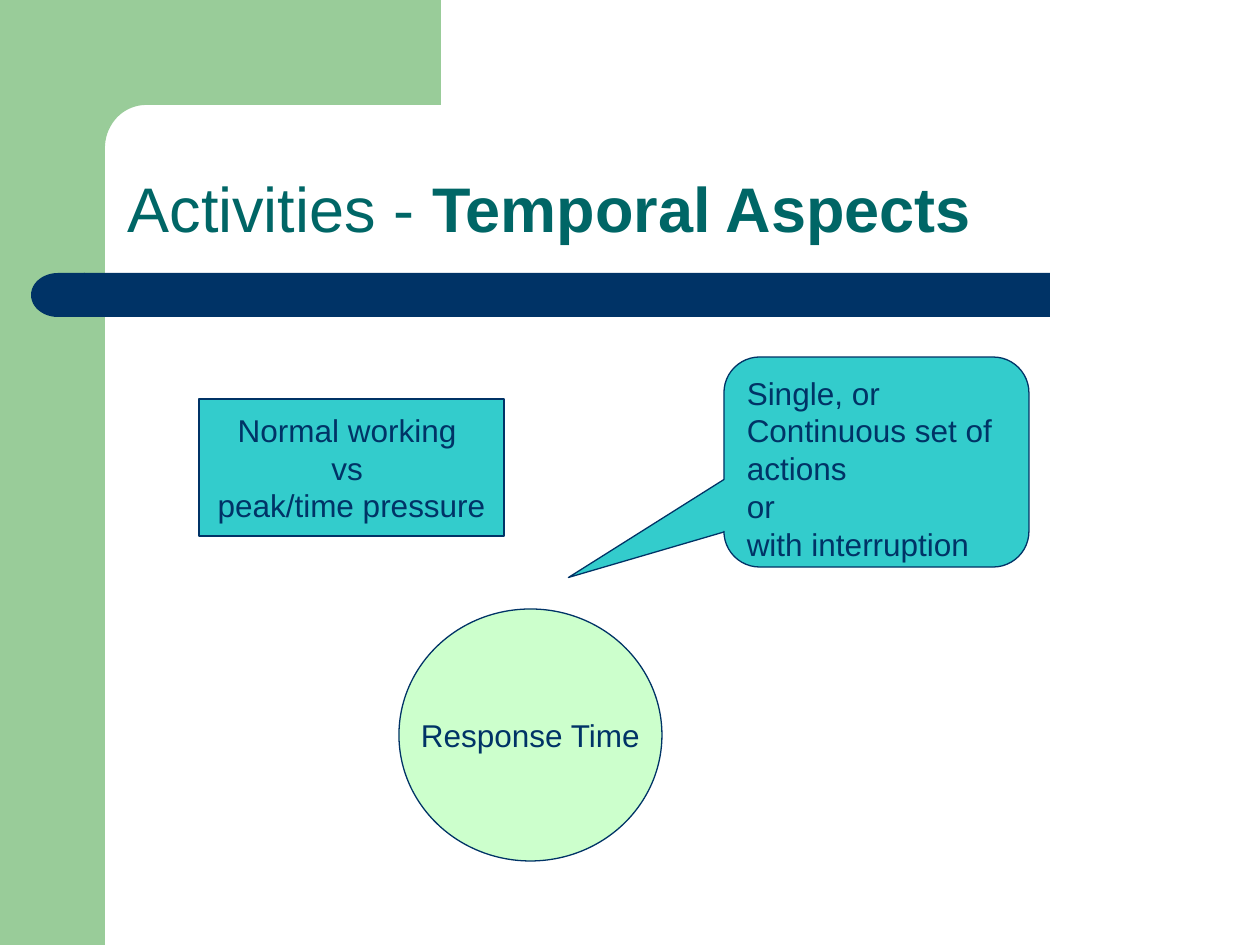
"""Build the slide on temporal aspects of activities."""
import math
from dataclasses import dataclass

from pptx import Presentation
from pptx.dml.color import RGBColor
from pptx.enum.shapes import MSO_SHAPE
from pptx.enum.text import MSO_ANCHOR, MSO_AUTO_SIZE, PP_ALIGN
from pptx.shapes.autoshape import Shape
from pptx.slide import Slide
from pptx.text.text import TextFrame, _Paragraph
from pptx.util import Emu, Pt

RECTANGLE = MSO_SHAPE.RECTANGLE
DELAY = MSO_SHAPE.FLOWCHART_DELAY
PROCESS = MSO_SHAPE.FLOWCHART_PROCESS
CONNECTOR = MSO_SHAPE.FLOWCHART_CONNECTOR
CALLOUT = MSO_SHAPE.ROUNDED_RECTANGULAR_CALLOUT
TOP, MIDDLE, BOTTOM = MSO_ANCHOR.TOP, MSO_ANCHOR.MIDDLE, MSO_ANCHOR.BOTTOM
LEFT, CENTER = PP_ALIGN.LEFT, PP_ALIGN.CENTER
NO_AUTOFIT = MSO_AUTO_SIZE.NONE
EMU_PER_PX = 914400 / 126


@dataclass(frozen=True)
class Theme:
    """Colours, font and type sizes of the slide."""

    font: str = "Arial"
    title_size: int = 36
    body_size: int = 18
    outline: float = 0.75
    green: str = "99CC99"
    navy: str = "003366"
    teal: str = "006666"
    turquoise: str = "33CCCC"
    mint: str = "CCFFCC"


THEME = Theme()


@dataclass(frozen=True)
class Box:
    """A rectangle in px."""

    left: int
    top: int
    width: int
    height: int

    def emu(self) -> tuple[Emu, ...]:
        """Return the four lengths in EMU."""
        return tuple(px(value) for value in (self.left, self.top, self.width, self.height))


@dataclass(frozen=True)
class Note:
    """A filled shape holding lines of text."""

    kind: MSO_SHAPE
    box: Box
    fill: str
    lines: tuple[str, ...]
    align: PP_ALIGN = CENTER
    anchor: MSO_ANCHOR = MIDDLE
    wrap: bool = False
    adjustments: tuple[float, ...] = ()


NOTES = (
    Note(PROCESS, Box(199, 399, 305, 137), THEME.turquoise,
         ("Normal working ", "vs ", "peak/time pressure")),
    Note(CONNECTOR, Box(399, 609, 263, 252), THEME.mint, ("Response Time",)),
    Note(CALLOUT, Box(724, 357, 305, 210), THEME.turquoise,
         ("Single, or", "Continuous set of actions", "or", "with interruption"),
         LEFT, TOP, True, (-1.01, 0.55, 0.17)),
)


def px(value: float) -> Emu:
    """Convert px to EMU."""
    return Emu(round(value * EMU_PER_PX))


def paint(shape: Shape, fill: str) -> None:
    """Give a shape a flat fill without outline or shadow."""
    shape.shadow.inherit = False
    shape.fill.solid()
    shape.fill.fore_color.rgb = RGBColor.from_string(fill)
    shape.line.fill.background()


def add_run(paragraph: _Paragraph, text: str, size: int, color: str, bold: bool = False) -> None:
    """Append one formatted run."""
    run = paragraph.add_run()
    run.text = text
    run.font.name = THEME.font
    run.font.size = Pt(size)
    run.font.bold = bold
    run.font.color.rgb = RGBColor.from_string(color)


def set_frame(frame: TextFrame, anchor: MSO_ANCHOR, wrap: bool) -> None:
    """Set how a text frame holds its text."""
    frame.auto_size = NO_AUTOFIT
    frame.vertical_anchor = anchor
    frame.word_wrap = wrap


def add_block(slide: Slide, kind: MSO_SHAPE, box: Box, fill: str) -> Shape:
    """Draw a flat preset shape."""
    shape = slide.shapes.add_shape(kind, *box.emu())
    paint(shape, fill)
    return shape


def add_corner(slide: Slide) -> None:
    """Draw the top band with its rounded inner corner."""
    arc = [
        (146 - 41 * math.sin(angle), 148 - 43 * math.cos(angle))
        for angle in (math.radians(degrees) for degrees in range(0, 91, 5))
    ]
    points = [(441, 105), *arc, (105, 161), (63, 161), (63, 0)]
    builder = slide.shapes.build_freeform(px(441), 0)
    builder.add_line_segments([(px(x), px(y)) for x, y in points], close=True)
    paint(builder.convert_to_shape(), THEME.green)


def add_frame(slide: Slide) -> None:
    """Draw the green frame and the navy bar."""
    add_block(slide, RECTANGLE, Box(0, 0, 105, 945), THEME.green)
    add_corner(slide)
    add_block(slide, RECTANGLE, Box(84, 273, 966, 44), THEME.navy)
    cap = add_block(slide, DELAY, Box(31, 273, 54, 44), THEME.navy)
    cap.rotation = 180


def add_title(slide: Slide) -> None:
    """Place and write the title."""
    title = slide.shapes.title
    title.left, title.top, title.width, title.height = Box(115, 115, 1072, 137).emu()
    set_frame(title.text_frame, BOTTOM, True)
    paragraph = title.text_frame.paragraphs[0]
    paragraph.alignment = LEFT
    paragraph.line_spacing = 0.9
    add_run(paragraph, "Activities - ", THEME.title_size, THEME.teal)
    add_run(paragraph, "Temporal Aspects", THEME.title_size, THEME.teal, True)


def add_note(slide: Slide, note: Note) -> None:
    """Draw one outlined shape with its text."""
    shape = add_block(slide, note.kind, note.box, note.fill)
    shape.line.color.rgb = RGBColor.from_string(THEME.navy)
    shape.line.width = Pt(THEME.outline)
    for index, value in enumerate(note.adjustments):
        shape.adjustments[index] = value
    frame = shape.text_frame
    set_frame(frame, note.anchor, note.wrap)
    for index, line in enumerate(note.lines):
        paragraph = frame.add_paragraph() if index else frame.paragraphs[0]
        paragraph.alignment = note.align
        add_run(paragraph, line, THEME.body_size, THEME.navy)


def main() -> None:
    """Build and save the presentation."""
    presentation = Presentation()
    presentation.slide_width, presentation.slide_height = px(1260), px(945)
    slide = presentation.slides.add_slide(presentation.slide_layouts[5])
    add_frame(slide)
    add_title(slide)
    for note in NOTES:
        add_note(slide, note)
    presentation.save("out.pptx")


if __name__ == "__main__":
    main()
